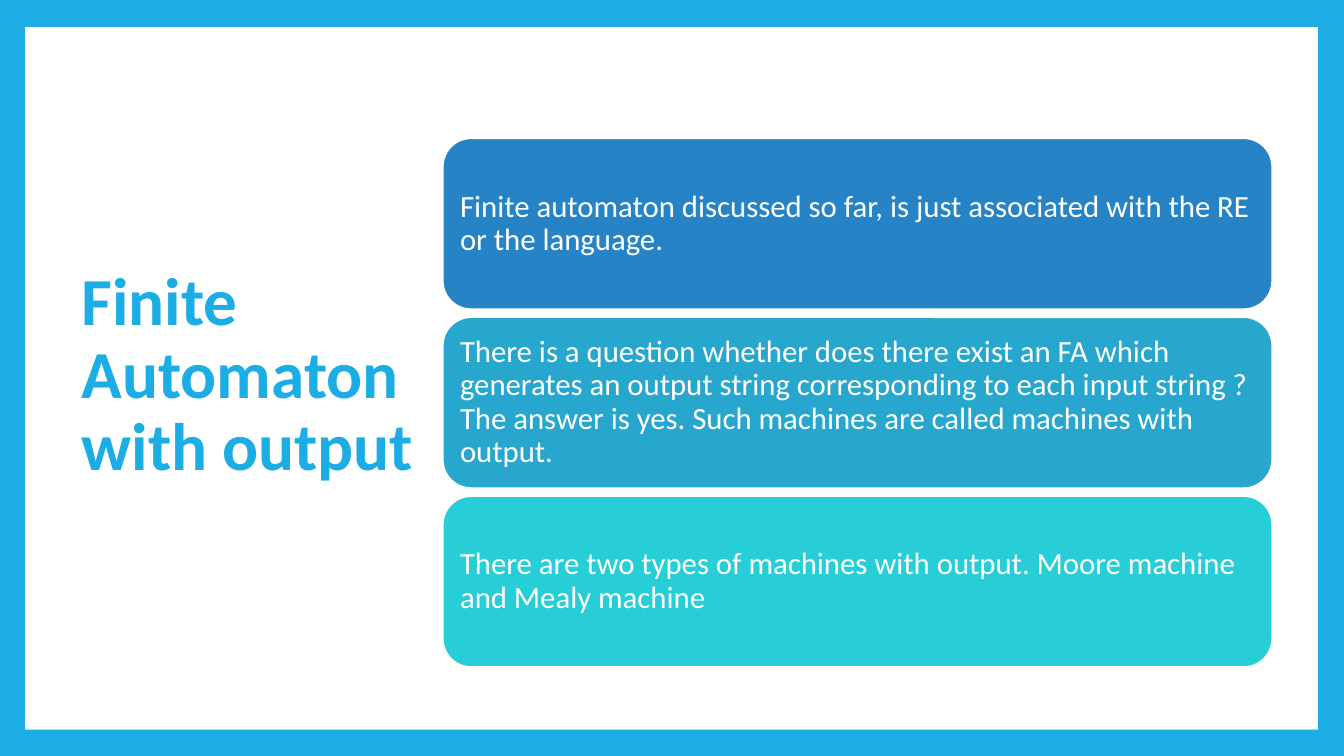
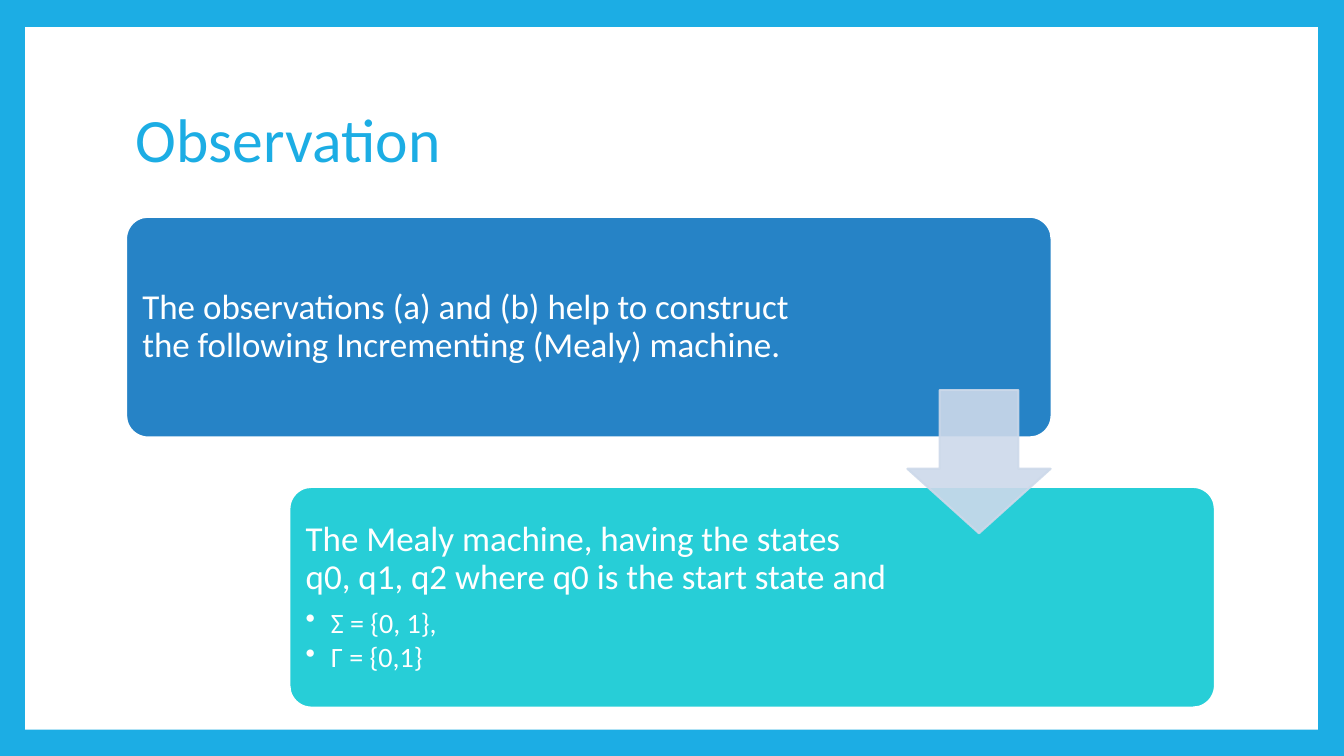
from lxml import etree
from pptx import Presentation
from pptx.dml.color import RGBColor
from pptx.enum.shapes import MSO_SHAPE
from pptx.enum.text import MSO_ANCHOR, PP_ALIGN
from pptx.oxml.ns import qn
from pptx.util import Inches, Pt

RECT = MSO_SHAPE.RECTANGLE
ROUND_RECT = MSO_SHAPE.ROUNDED_RECTANGLE
DOWN_ARROW = MSO_SHAPE.DOWN_ARROW
MIDDLE = MSO_ANCHOR.MIDDLE
LEFT = PP_ALIGN.LEFT

FONT = "Calibri"
COLORS = {
    "frame": "1CADE4",
    "white": "FFFFFF",
    "blue": "2683C6",
    "mid": "27A7CE",
    "turquoise": "27CED7",
    "arrow": "CDD9EA",
}


def rgb(name):
    return RGBColor.from_string(COLORS[name])


def add_framed_slide(prs):
    s = prs.slides.add_slide(prs.slide_layouts[6])
    s.background.fill.solid()
    s.background.fill.fore_color.rgb = rgb("frame")
    add_filled(s, RECT, (0.25, 0.27, 12.82, 6.97), "white")
    return s


def add_filled(s, kind, box, fill, line=None):
    sp = s.shapes.add_shape(kind, *map(Inches, box))
    sp.shadow.inherit = False
    sp.fill.solid()
    sp.fill.fore_color.rgb = rgb(fill)
    if line:
        sp.line.color.rgb = rgb(line)
        sp.line.width = Pt(1.5)
    else:
        sp.line.fill.background()
    return sp


def style_paragraph(p, size, color, bold=False, after=0):
    p.alignment = LEFT
    p.line_spacing = 0.9
    p.space_after = Pt(after)
    for r in p.runs:
        r.font.name = FONT
        r.font.size = Pt(size)
        r.font.bold = bold
        r.font.color.rgb = rgb(color)


def add_title(s, text, box, size, bold=False):
    tf = s.shapes.add_textbox(*map(Inches, box)).text_frame
    tf.word_wrap = True
    tf.vertical_anchor = MIDDLE
    tf.text = text
    style_paragraph(tf.paragraphs[0], size, "frame", bold)


def add_bullet(p):
    pPr = p._p.get_or_add_pPr()
    pPr.set("marL", str(Inches(0.25)))
    pPr.set("indent", str(-Inches(0.25)))
    etree.SubElement(pPr, qn("a:buChar")).set("char", "•")


def add_card(s, box, fill, text, size, inset, right=None, radius=0.1667, bullets=()):
    """Rounded card; right is the right inset where it differs from the others."""
    sp = add_filled(s, ROUND_RECT, box, fill, "white")
    sp.adjustments[0] = radius
    tf = sp.text_frame
    tf.word_wrap = True
    tf.vertical_anchor = MIDDLE
    tf.margin_left = tf.margin_top = tf.margin_bottom = Inches(inset)
    tf.margin_right = Inches(inset if right is None else right)
    tf.text = text
    style_paragraph(tf.paragraphs[0], size, "white", after=0.35 * size)
    for bullet in bullets:
        p = tf.add_paragraph()
        p.text = bullet
        style_paragraph(p, 20, "white", after=3)
        add_bullet(p)


def add_step_arrow(s, box):
    sp = add_filled(s, DOWN_ARROW, box, "arrow", "arrow")
    sp.adjustments[0] = 0.55
    sp.adjustments[1] = 0.45
    for clr in sp._element.spPr.iter(qn("a:srgbClr")):
        etree.SubElement(clr, qn("a:alpha")).set("val", "90000")


def build_output_slide(prs):
    s = add_framed_slide(prs)
    add_title(s, "Finite Automaton with output", (0.71, 0.67, 3.68, 6.13), 48, bold=True)
    cards = [
        ("blue", "Finite automaton discussed so far, is just associated with the RE "
                 "or the language."),
        ("mid", "There is a question whether does there exist an FA which generates "
                "an output string corresponding to each input string ? The answer is "
                "yes. Such machines are called machines with output."),
        ("turquoise", "There are two types of machines with output. Moore machine "
                      "and Mealy machine"),
    ]
    top, pitch = 1.37, 1.775
    for i, (fill, text) in enumerate(cards):
        add_card(s, (4.39, top + i * pitch, 8.23, 1.7), fill, text, 22, 0.09)


def build_observation_slide(prs):
    s = add_framed_slide(prs)
    add_title(s, "Observation", (1.25, 0.67, 10.8, 1.48), 44)
    steps = [
        (1.25, 2.15, "blue", 2.25,
         "The observations (a) and (b) help to construct the following "
         "Incrementing (Mealy) machine.", ()),
        (2.87, 4.83, "turquoise", 3.15,
         "The Mealy machine, having the states q0, q1, q2 where q0 is the "
         "start state and", ("Σ = {0, 1},", "Г = {0,1}")),
    ]
    for left, top, fill, right, text, bullets in steps:
        add_card(s, (left, top, 9.18, 2.19), fill, text, 25, 0.1, right, 0.1, bullets)
    add_step_arrow(s, (9, 3.87, 1.42, 1.42))


def main():
    prs = Presentation()
    prs.slide_width = Inches(13.33)
    prs.slide_height = Inches(7.5)
    build_output_slide(prs)
    build_observation_slide(prs)
    prs.save("out.pptx")


if __name__ == "__main__":
    main()
